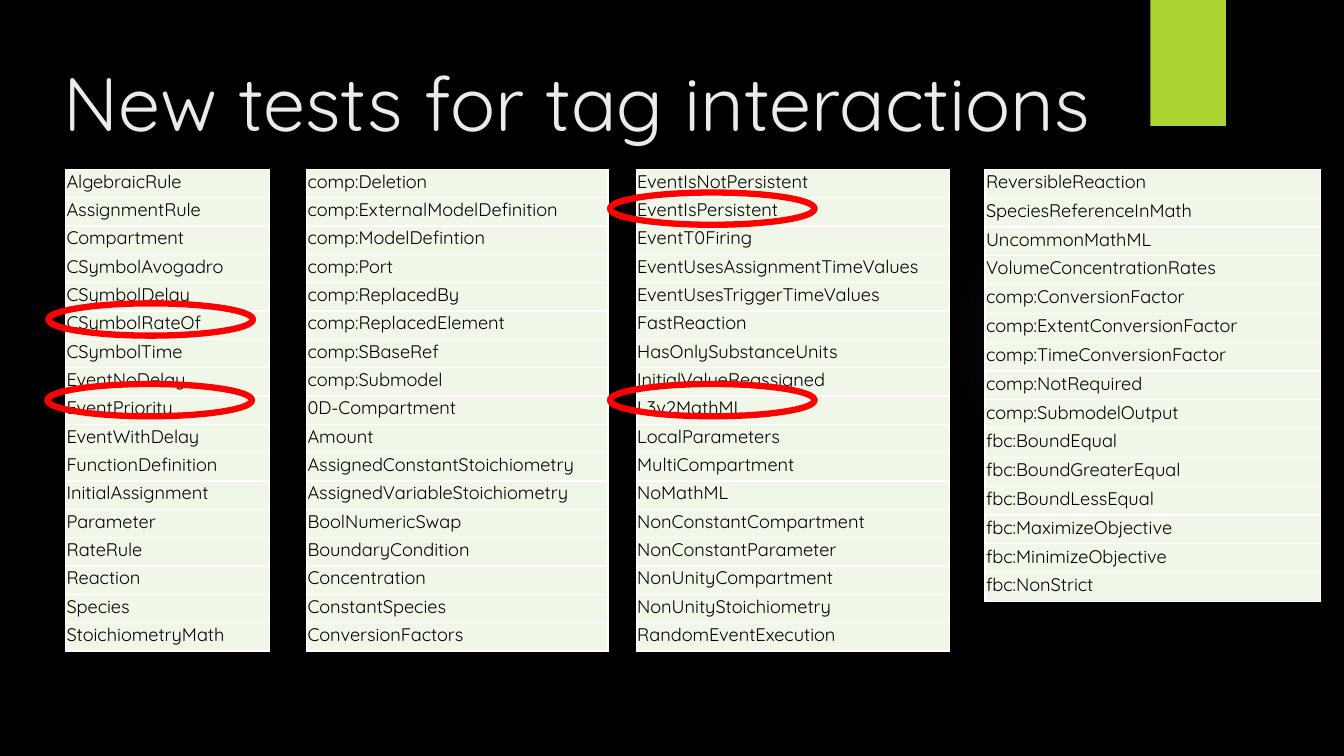
from lxml import etree
from pptx import Presentation
from pptx.dml.color import RGBColor
from pptx.enum.shapes import MSO_SHAPE
from pptx.enum.text import MSO_ANCHOR, PP_ALIGN
from pptx.oxml import parse_xml
from pptx.util import Inches, Pt

OVAL, RECTANGLE = MSO_SHAPE.OVAL, MSO_SHAPE.RECTANGLE
TOP, BOTTOM, LEFT = MSO_ANCHOR.TOP, MSO_ANCHOR.BOTTOM, PP_ALIGN.LEFT
DRAWING = "http://schemas.openxmlformats.org/drawingml/2006/main"
FONT = "Quicksand"
TABLE_TOP = 1.68
MARK_SIZE = (2.03, 0.32)

TAG_COLUMNS = [
    (0.65, 2.02, 4.78, """
        AlgebraicRule AssignmentRule Compartment CSymbolAvogadro CSymbolDelay
        CSymbolRateOf CSymbolTime EventNoDelay EventPriority EventWithDelay
        FunctionDefinition InitialAssignment Parameter RateRule Reaction Species
        StoichiometryMath"""),
    (3.04, 2.99, 4.78, """
        comp:Deletion comp:ExternalModelDefinition comp:ModelDefintion comp:Port
        comp:ReplacedBy comp:ReplacedElement comp:SBaseRef comp:Submodel
        0D-Compartment Amount AssignedConstantStoichiometry
        AssignedVariableStoichiometry BoolNumericSwap BoundaryCondition
        Concentration ConstantSpecies ConversionFactors"""),
    (6.31, 3.11, 4.78, """
        EventIsNotPersistent EventIsPersistent EventT0Firing
        EventUsesAssignmentTimeValues EventUsesTriggerTimeValues FastReaction
        HasOnlySubstanceUnits InitialValueReassigned L3v2MathML LocalParameters
        MultiCompartment NoMathML NonConstantCompartment NonConstantParameter
        NonUnityCompartment NonUnityStoichiometry RandomEventExecution"""),
    (9.77, 3.33, 4.29, """
        ReversibleReaction SpeciesReferenceInMath UncommonMathML
        VolumeConcentrationRates comp:ConversionFactor comp:ExtentConversionFactor
        comp:TimeConversionFactor comp:NotRequired comp:SubmodelOutput
        fbc:BoundEqual fbc:BoundGreaterEqual fbc:BoundLessEqual
        fbc:MaximizeObjective fbc:MinimizeObjective fbc:NonStrict"""),
]
MARK_GROUPS = [[(0.48, 3.01), (6.05, 1.91)], [(0.47, 3.81), (6.05, 3.81)]]


def color(value):
    """Turn a hex string into a colour."""
    return RGBColor.from_string(value)


def inches(*lengths):
    """Convert a series of lengths in inches."""
    return [Inches(length) for length in lengths]


def write_text(frame, text, size, ink):
    """Write one formatted line into a text frame."""
    paragraph = frame.paragraphs[0]
    paragraph.alignment = LEFT
    run = paragraph.add_run()
    run.text = text
    run.font.name = FONT
    run.font.size = Pt(size)
    run.font.color.rgb = color(ink)


def add_shape(shapes, preset, box, fill=None, line=None, width=0):
    """Add a preset shape with a plain fill and outline."""
    shape = shapes.add_shape(preset, *inches(*box))
    shape.shadow.inherit = False
    if fill:
        shape.fill.solid()
        shape.fill.fore_color.rgb = color(fill)
    else:
        shape.fill.background()
    if line:
        shape.line.color.rgb = color(line)
        shape.line.width = Pt(width)
    else:
        shape.line.fill.background()
    return shape


def apply_glow(shape, tint, stops):
    """Replace a solid fill by a circular gradient of opacity."""
    gradient = parse_xml(
        f'<a:gradFill xmlns:a="{DRAWING}"><a:gsLst/><a:path path="circle">'
        '<a:fillToRect l="50000" t="50000" r="50000" b="50000"/>'
        '</a:path></a:gradFill>')
    for position, opacity in stops:
        stop = etree.SubElement(gradient[0], f"{{{DRAWING}}}gs", pos=str(position * 1000))
        ink = etree.SubElement(stop, f"{{{DRAWING}}}srgbClr", val=tint)
        etree.SubElement(ink, f"{{{DRAWING}}}alpha", val=str(opacity * 1000))
    properties = shape.element.spPr
    properties.replace(properties.find(f"{{{DRAWING}}}solidFill"), gradient)


def add_backdrop(slide):
    """Paint the background, the faint glow and the corner tab."""
    slide.background.fill.solid()
    slide.background.fill.fore_color.rgb = color("000000")
    glow = add_shape(slide.shapes, OVAL, (9.41, 1.83, 3.08, 3.08), fill="7AC4F0")
    apply_glow(glow, "7AC4F0", [(0, 7), (36, 6), (69, 0)])
    add_shape(slide.shapes, RECTANGLE, (11.41, 0, 0.75, 1.25), fill="ACD433")


def add_title(slide, text, box):
    """Place and format the title placeholder."""
    title = slide.shapes.title
    title.left, title.top, title.width, title.height = inches(*box)
    title.text_frame.vertical_anchor = TOP
    write_text(title.text_frame, text, size=54, ink="EBEBEB")


def add_border(cell, ink, width):
    """Draw a line on every side of a cell."""
    properties = cell._tc.get_or_add_tcPr()
    for index, side in enumerate(("lnL", "lnR", "lnT", "lnB")):
        properties.insert(index, parse_xml(
            f'<a:{side} xmlns:a="{DRAWING}" w="{Pt(width)}"><a:solidFill>'
            f'<a:srgbClr val="{ink}"/></a:solidFill></a:{side}>'))


def add_tag_table(slide, tags, box):
    """Add a one-column table of tags with equal rows."""
    table = slide.shapes.add_table(len(tags), 1, *inches(*box)).table
    table.first_row = table.horz_banding = False
    for row, tag in zip(table.rows, tags):
        row.height = Inches(box[3] / len(tags))
        cell = row.cells[0]
        cell.margin_left, cell.margin_right, cell.margin_top, cell.margin_bottom = inches(
            0.01, 0.01, 0, 0.05)
        cell.vertical_anchor = BOTTOM
        cell.fill.solid()
        cell.fill.fore_color.rgb = color("F1F7E8")
        write_text(cell.text_frame, tag, size=13, ink="000000")
        add_border(cell, "FFFFFF", 1)


def add_mark_group(slide, corners):
    """Add a group of red ovals that circle tags."""
    group = slide.shapes.add_group_shape()
    for corner in corners:
        add_shape(group.shapes, OVAL, corner + MARK_SIZE, line="FF0000", width=4.5)


def main():
    """Build and save the presentation."""
    presentation = Presentation()
    presentation.slide_width, presentation.slide_height = inches(13.33, 7.5)
    slide = presentation.slides.add_slide(presentation.slide_layouts[5])
    add_backdrop(slide)
    add_title(slide, "New tests for tag interactions", (0.53, 0.5, 12.11, 1.53))
    for left, width, height, tags in TAG_COLUMNS:
        add_tag_table(slide, tags.split(), (left, TABLE_TOP, width, height))
    for corners in MARK_GROUPS:
        add_mark_group(slide, corners)
    presentation.save("out.pptx")


if __name__ == "__main__":
    main()
